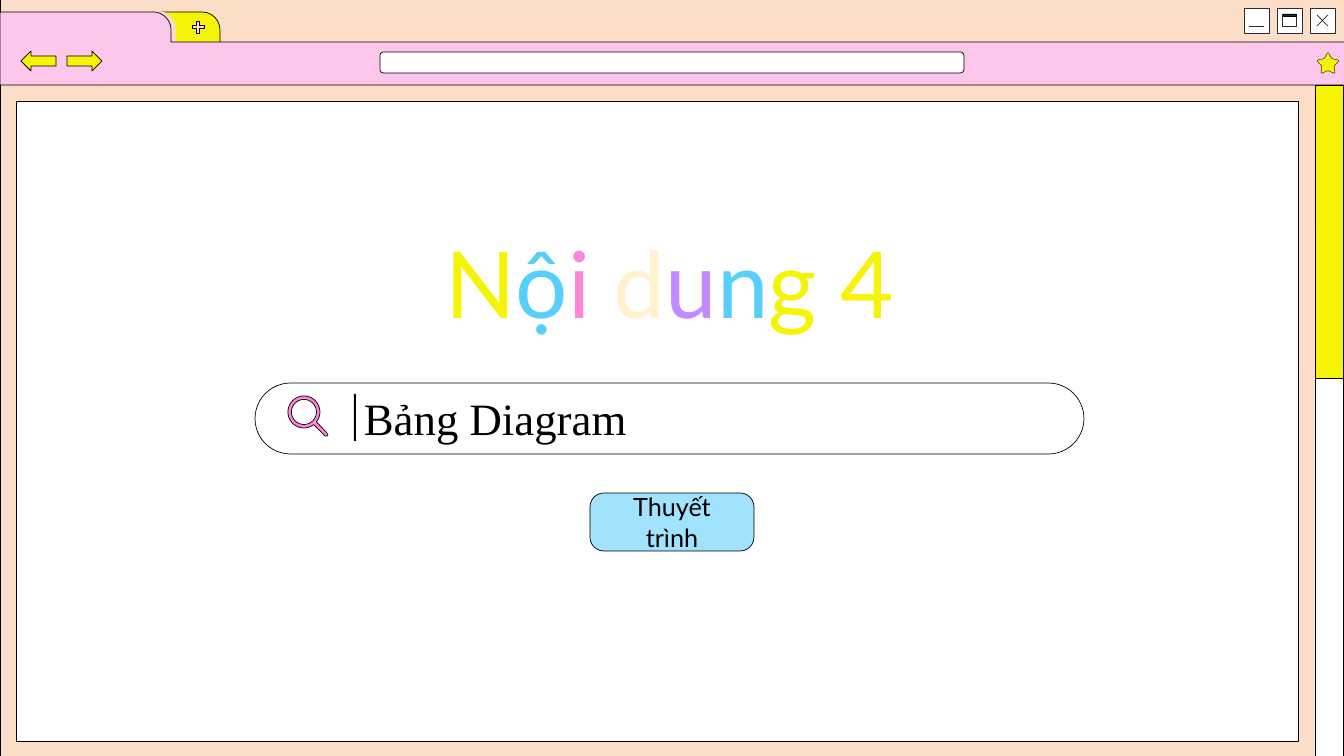
import math
from collections import namedtuple

from lxml import etree
from pptx import Presentation
from pptx import util as u
from pptx.dml.color import RGBColor
from pptx.enum import shapes, text
from pptx.oxml import ns

PX = 914400 / 100.8  # EMU per px
Box = namedtuple("Box", "x y w h")
KIND = shapes.MSO_SHAPE


class Theme:
    ink, icon, white = "000000", "292D2D", "FFFFFF"
    peach, pink, yellow, blue = "FCDEC8", "FDC7EB", "F5F406", "A1E3FD"
    sky, rose, cream, violet = "58CEFC", "FD86D8", "FFF2CC", "C48AFF"
    sans, serif = "Lato", "Times New Roman"
    title, query, button = 66, 32, 18
    hairline, thin = 0.5, 0.25


def px(value):
    return u.Emu(round(value * PX))


def inside(box, x, y, w, h):
    return Box(box.x + x, box.y + y, w, h)


def paint(shape, fill, line, width=Theme.hairline):
    shape.shadow.inherit = False
    if fill:
        shape.fill.solid()
        shape.fill.fore_color.rgb = RGBColor.from_string(fill)
    else:
        shape.fill.background()
    if line:
        shape.line.color.rgb = RGBColor.from_string(line)
        shape.line.width = u.Pt(width)
    else:
        shape.line.fill.background()
    return shape


def add_part(slide, kind, box, fill=None, line=Theme.ink, adj=None):
    shape = slide.shapes.add_shape(kind, *map(px, box))
    if adj is not None:
        shape.adjustments[0] = adj
    return paint(shape, fill, line)


def add_outline(slide, box, contours, fill, width=Theme.hairline):
    emu = [[(px(box.x + x), px(box.y + y)) for x, y in c] for c in contours]
    builder = slide.shapes.build_freeform(*emu[0][0], scale=1.0)
    builder.add_line_segments(emu[0][1:], close=True)
    for start, *rest in emu[1:]:
        builder.move_to(*start)
        builder.add_line_segments(rest, close=True)
    return paint(builder.convert_to_shape(), fill, Theme.ink, width)


def add_line(slide, box, x1, y1, x2, y2, color=Theme.ink):
    ends = (box.x + x1, box.y + y1, box.x + x2, box.y + y2)
    line = slide.shapes.add_connector(shapes.MSO_CONNECTOR.STRAIGHT, *map(px, ends))
    line.line.color.rgb = RGBColor.from_string(color)
    line.line.width = u.Pt(Theme.hairline)
    etree.SubElement(line.element.spPr, ns.qn("a:effectLst"))


def write(shape, runs, size, font, align="LEFT", anchor="TOP", grow=False):
    frame = shape.text_frame
    frame.word_wrap = True
    frame.vertical_anchor = getattr(text.MSO_ANCHOR, anchor)
    if grow:
        frame.auto_size = text.MSO_AUTO_SIZE.SHAPE_TO_FIT_TEXT
    paragraph = frame.paragraphs[0]
    paragraph.alignment = getattr(text.PP_ALIGN, align)
    for wording, color in runs:
        run = paragraph.add_run()
        run.text = wording
        run.font.size, run.font.name = u.Pt(size), font
        run.font.color.rgb = RGBColor.from_string(color)


def arc(cx, cy, radius, start, end, steps=48):
    """Points on a circle between two angles in degrees."""
    angles = [math.radians(start + (end - start) * i / steps) for i in range(steps + 1)]
    return [(cx + radius * math.cos(a), cy + radius * math.sin(a)) for a in angles]


def rounded_star(cx, cy, outer, inner):
    corners = []
    for i in range(10):
        radius, angle = (inner if i % 2 else outer), math.radians(36 * i - 90)
        corners.append((cx + radius * math.cos(angle), cy + radius * math.sin(angle)))
    points = []
    for i, corner in enumerate(corners):
        before, after = corners[i - 1], corners[(i + 1) % 10]
        for t in (0, 0.25, 0.5, 0.75, 1):
            # quadratic curve that cuts a fifth of each edge
            a, b = 0.2 * (1 - t) ** 2, 0.2 * t ** 2
            points.append(tuple(c + a * (p - c) + b * (n - c)
                                for p, c, n in zip(before, corner, after)))
    return points


def window_frame(slide, box):
    add_part(slide, KIND.ROUNDED_RECTANGLE, inside(box, 0, -1, box.w, box.h + 1),
             Theme.peach, adj=0)
    # Scroll track and page
    add_part(slide, KIND.RECTANGLE, inside(box, 1315, 228, 28, 528), Theme.white)
    add_part(slide, KIND.RECTANGLE, inside(box, 16, 101, 1282, 640), Theme.white)


def window_buttons(slide, box):
    side, step = 25, 33
    minimise, maximise, close = [inside(box, i * step, 0, side, side) for i in range(3)]
    for button in (minimise, maximise, close):
        add_part(slide, KIND.RECTANGLE, button, Theme.white, Theme.icon)
    add_line(slide, minimise, 5, 18, 20, 18, Theme.icon)
    add_part(slide, KIND.RECTANGLE, inside(maximise, 5, 6, 14, 12), line=Theme.icon)
    add_part(slide, KIND.RECTANGLE, inside(maximise, 6, 6, 13, 2), Theme.icon)
    add_line(slide, close, 7, 7, 18, 18, Theme.icon)
    add_line(slide, close, 18, 7, 7, 18, Theme.icon)


def toolbar(slide, box):
    # New tab behind the open one
    add_part(slide, KIND.ROUND_1_RECTANGLE, inside(box, 49, 0, 171, 42),
             Theme.yellow, adj=0.43)
    add_part(slide, KIND.ROUND_1_RECTANGLE, inside(box, 5, -1, 171, 42),
             Theme.peach, line=None, adj=0.43)
    # Open tab joined to the bar
    tab = [(0, 0), *arc(153, 18, 18, -90, 0, 16), (171, 30),
           (box.w, 30), (box.w, box.h), (0, box.h)]
    add_outline(slide, box, [tab], Theme.pink)
    add_part(slide, KIND.MATH_PLUS, inside(box, 190, 7, 16, 16), Theme.peach)
    # Navigation arrows, address field and bookmark star
    for kind, x in ((KIND.LEFT_ARROW, 21), (KIND.RIGHT_ARROW, 67)):
        add_part(slide, kind, inside(box, x, 39, 35, 20), Theme.yellow)
    add_part(slide, KIND.ROUNDED_RECTANGLE, inside(box, 380, 40, 584, 21), Theme.white)
    add_outline(slide, box, [rounded_star(1328, 52, 12, 6.5)], Theme.yellow, Theme.thin)


def scroll_bar(slide, box):
    add_part(slide, KIND.RECTANGLE, inside(box, 0, 0, box.w, 293), Theme.yellow)
    add_line(slide, box, 0, 32, 0, box.h)


def heading(slide, box):
    letters = [("N", Theme.yellow), ("ộ", Theme.sky), ("i ", Theme.rose),
               ("d", Theme.cream), ("u", Theme.violet), ("n", Theme.sky),
               ("g 4", Theme.yellow)]
    write(slide.shapes.add_textbox(*map(px, box)), letters,
          size=Theme.title, font=Theme.sans, align="CENTER", grow=True)


def search_field(slide, box):
    add_part(slide, KIND.ROUNDED_RECTANGLE, box, adj=0.5)
    query = slide.shapes.add_textbox(*map(px, inside(box, 99, 3, 585, 65)))
    write(query, [("Bảng Diagram", Theme.ink)],
          size=Theme.query, font=Theme.serif, grow=True)
    # Caret
    add_part(slide, KIND.RECTANGLE, inside(box, 99, 11, 2, 47), Theme.ink, line=None)
    # Magnifier: rim with handle, then the lens opening
    rim = arc(16, 16, 16, 52, 398) + [(39, 37), (40, 39), (39, 40), (37, 40), (36, 39)]
    lens = arc(16, 16, 12.5, 360, 0)[:-1]
    add_outline(slide, inside(box, 33, 13, 40, 40), [rim, lens], Theme.rose)


def present_button(slide, box):
    button = add_part(slide, KIND.ROUNDED_RECTANGLE, box, Theme.blue, adj=0.24)
    write(button, [("Thuyết trình", Theme.ink)], size=Theme.button,
          font=Theme.sans, align="CENTER", anchor="MIDDLE")


def browser_slide(slide, box):
    window_frame(slide, box)
    window_buttons(slide, inside(box, 1244, 8, 91, 25))
    toolbar(slide, inside(box, 0, 12, 1346, 73))
    scroll_bar(slide, inside(box, 1315, 85, 28, 671))
    heading(slide, inside(box, 377, 221, 585, 122))
    search_field(slide, inside(box, 255, 383, 829, 71))
    present_button(slide, inside(box, 590, 493, 164, 58))


def main():
    deck = Presentation()
    window = Box(0, 0, 1344, 756)
    deck.slide_width, deck.slide_height = px(window.w), px(window.h)
    browser_slide(deck.slides.add_slide(deck.slide_layouts[6]), window)
    deck.save("out.pptx")


if __name__ == "__main__":
    main()
